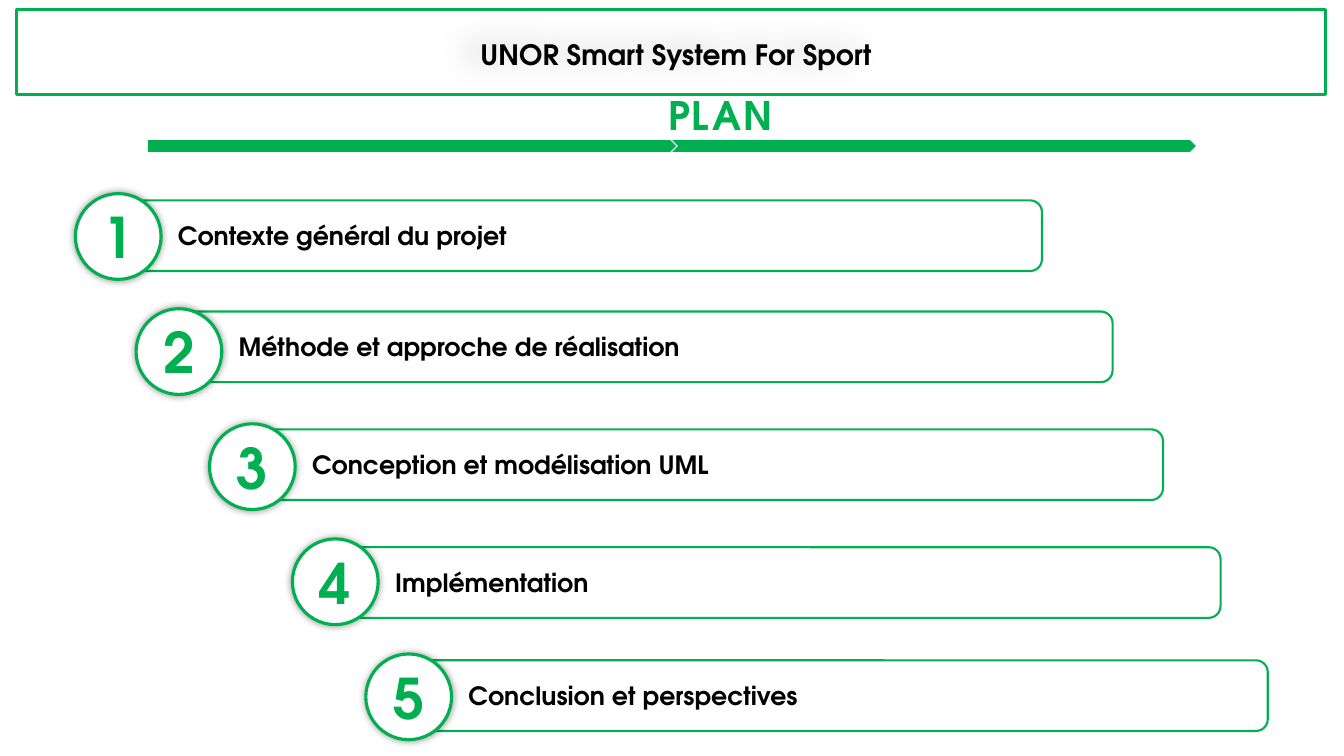
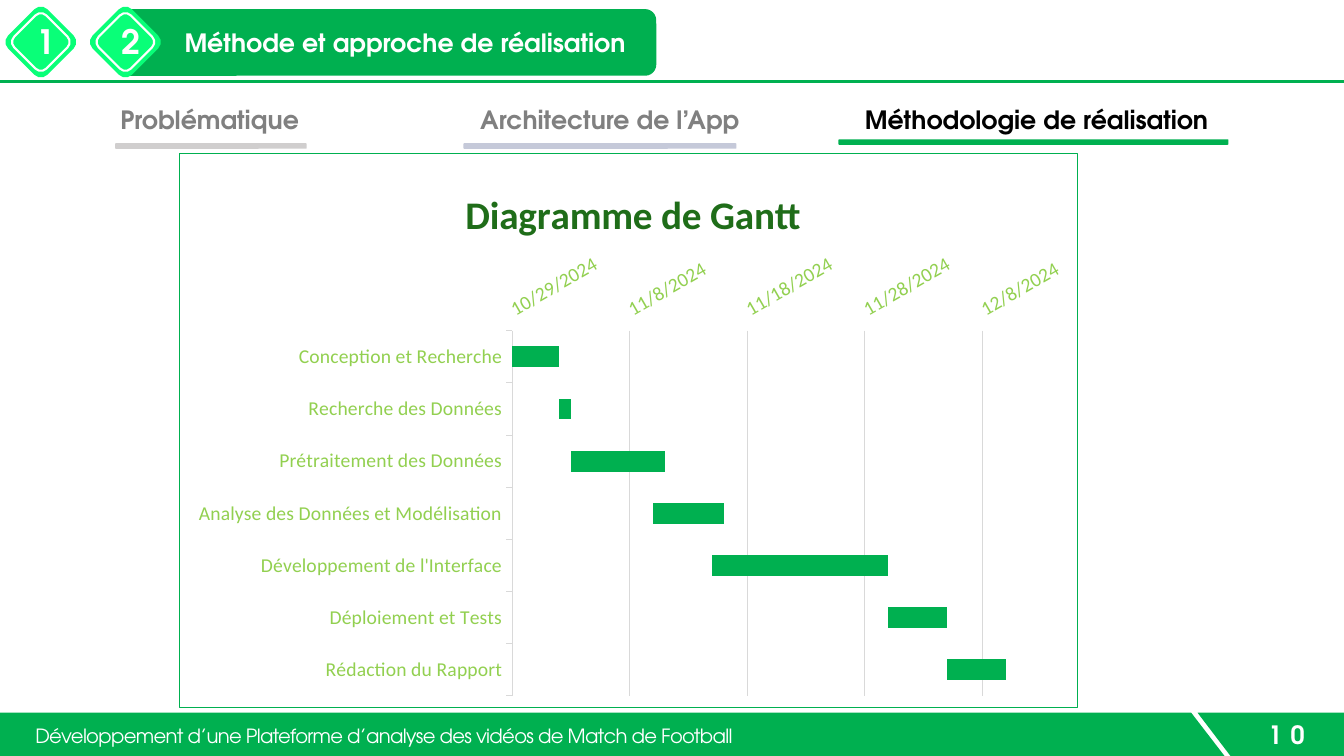
from pptx import Presentation
from pptx.chart.data import CategoryChartData
from pptx.dml.color import RGBColor
from pptx.enum.chart import XL_CHART_TYPE, XL_TICK_MARK
from pptx.enum.shapes import MSO_CONNECTOR, MSO_SHAPE
from pptx.enum.text import MSO_ANCHOR, MSO_AUTO_SIZE, PP_ALIGN
from pptx.oxml import parse_xml
from pptx.oxml.ns import nsdecls, qn
from pptx.oxml.xmlchemy import OxmlElement
from pptx.util import Cm, Pt

# Shared style
GREEN = RGBColor(0x00, 0xB0, 0x50)
BRIGHT_GREEN = RGBColor(0x09, 0xFF, 0x78)
DARK_GREEN = RGBColor(0x1F, 0x6D, 0x19)
LIGHT_GREEN = RGBColor(0x92, 0xD0, 0x50)
BLACK = RGBColor(0, 0, 0)
WHITE = RGBColor(0xFF, 0xFF, 0xFF)
GRAY = RGBColor(0x80, 0x80, 0x80)
TAB_GRAY = RGBColor(0xD0, 0xCE, 0xCE)
TAB_BLUE = RGBColor(0xC5, 0xC9, 0xD9)
GRID_GRAY = RGBColor(0xD9, 0xD9, 0xD9)
FONT = "TeX Gyre Adventor"
CHART_FONT = "Calibri"

RECTANGLE = MSO_SHAPE.RECTANGLE
ROUNDED = MSO_SHAPE.ROUNDED_RECTANGLE
OVAL = MSO_SHAPE.OVAL
PENTAGON = MSO_SHAPE.PENTAGON
CHEVRON = MSO_SHAPE.CHEVRON
STRAIGHT = MSO_CONNECTOR.STRAIGHT
LEFT, CENTER = PP_ALIGN.LEFT, PP_ALIGN.CENTER
TOP, MIDDLE = MSO_ANCHOR.TOP, MSO_ANCHOR.MIDDLE
NO_AUTOFIT = MSO_AUTO_SIZE.NONE
STACKED_BAR = XL_CHART_TYPE.BAR_STACKED
TICK_OUTSIDE = XL_TICK_MARK.OUTSIDE

TITLE_ONLY_LAYOUT = 5
SLIDE_WIDTH, SLIDE_HEIGHT = 33.87, 19.05

# Plan: text, circle left, bar top, bar right (cm)
PLAN_STEPS = [
    ("Contexte général du projet", 1.9, 5.05, 26.26),
    ("Méthode et approche de réalisation", 3.43, 7.85, 28.04),
    ("Conception et modélisation UML", 5.28, 10.82, 29.31),
    ("Implémentation", 7.37, 13.79, 30.76),
    ("Conclusion et perspectives", 9.22, 16.64, 31.95),
]
CIRCLE_SIZE, CIRCLE_TOP, CIRCLE_STEP = 2.16, 4.88, 2.9

# Tabs: text, text colour, text left and width, line left, top and width, line colour
TABS = [
    ("Problématique", GRAY, 2.72, 5.13, 2.9, 3.61, 4.83, TAB_GRAY),
    ("Architecture de l’App", GRAY, 9.53, 11.68, 11.68, 3.61, 6.88, TAB_BLUE),
    ("Méthodologie de réalisation", BLACK, 21.21, 9.83, 21.13, 3.51, 9.83, GREEN),
]

# Gantt: task, start (date serial number), days
TASKS = [
    ("Conception et Recherche", 45594, 4),
    ("Recherche des Données", 45598, 1),
    ("Prétraitement des Données", 45599, 8),
    ("Analyse des Données et Modélisation", 45606, 6),
    ("Développement de l'Interface", 45611, 15),
    ("Déploiement et Tests", 45626, 5),
    ("Rédaction du Rapport", 45631, 5),
]


def style_font(font, size, color, bold=True, name=FONT):
    font.name, font.size, font.bold = name, Pt(size), bold
    font.color.rgb = color


def write(shape, text, size, color, bold=True, align=CENTER, anchor=MIDDLE,
          spacing=0, inset=0.25):
    """Put one formatted run in a shape; spacing is in points, inset in cm."""
    frame = shape.text_frame
    frame.auto_size = NO_AUTOFIT
    frame.word_wrap = True
    frame.vertical_anchor = anchor
    frame.margin_left = Cm(inset)
    frame.margin_right = Cm(0.25)
    frame.margin_top = frame.margin_bottom = Cm(0.13)
    paragraph = frame.paragraphs[0]
    paragraph.alignment = align
    run = paragraph.add_run()
    run.text = text
    style_font(run.font, size, color, bold)
    if spacing:
        run.font._element.set("spc", str(round(spacing * 100)))
    return paragraph


def add_box(slide, kind, left, top, width, height, fill=None, line=None, weight=1.5):
    shape = slide.shapes.add_shape(kind, Cm(left), Cm(top), Cm(width), Cm(height))
    shape.shadow.inherit = False
    if fill is None:
        shape.fill.background()
    else:
        shape.fill.solid()
        shape.fill.fore_color.rgb = fill
    if line is None:
        shape.line.fill.background()
    else:
        shape.line.color.rgb = line
        shape.line.width = Pt(weight)
    return shape


def add_text(slide, left, top, width, height, text, size, color, **options):
    box = slide.shapes.add_textbox(Cm(left), Cm(top), Cm(width), Cm(height))
    return box, write(box, text, size, color, **options)


def set_title(slide, left, top, width, height, text, size, color, **options):
    """Fill the title placeholder and bring it in front of what is drawn so far."""
    title = slide.shapes.title
    title.left, title.top = Cm(left), Cm(top)
    title.width, title.height = Cm(width), Cm(height)
    write(title, text, size, color, **options)
    title._element.getparent().append(title._element)


def add_shadow(shape, blur, distance, direction, opacity):
    shape.shadow.inherit = False
    effects = shape._element.spPr.find(qn("a:effectLst"))
    effects.append(parse_xml(
        f'<a:outerShdw {nsdecls("a")} blurRad="{Cm(blur)}" dist="{Cm(distance)}" '
        f'dir="{direction * 60000}" algn="ctr" rotWithShape="0">'
        f'<a:srgbClr val="{BLACK}"><a:alpha val="{opacity * 1000}"/></a:srgbClr>'
        '</a:outerShdw>'))


def add_rule(slide, top):
    rule = slide.shapes.add_connector(STRAIGHT, 0, Cm(top), Cm(SLIDE_WIDTH), Cm(top))
    rule.line.color.rgb = GREEN
    rule.line.width = Pt(2.25)
    rule._element.spPr.append(OxmlElement("a:effectLst"))


def add_polygon(slide, points, fill):
    corners = [(Cm(x), Cm(y)) for x, y in points]
    builder = slide.shapes.build_freeform(*corners[0])
    builder.add_line_segments(corners[1:], close=True)
    shape = builder.convert_to_shape()
    shape.shadow.inherit = False
    shape.fill.solid()
    shape.fill.fore_color.rgb = fill
    shape.line.fill.background()


def add_plan_step(slide, index, text, left, bar_top, bar_right):
    bar_left = left + 1.2
    bar = add_box(slide, ROUNDED, bar_left, bar_top, bar_right - bar_left, 1.78, line=GREEN)
    write(bar, text, 18, BLACK, align=LEFT, inset=1.3)
    circle = add_box(slide, OVAL, left, CIRCLE_TOP + index * CIRCLE_STEP,
                     CIRCLE_SIZE, CIRCLE_SIZE, WHITE, GREEN, 2.25)
    add_shadow(circle, 0.18, 0, 0, 40)
    write(circle, str(index + 1), 40, GREEN)


def add_diamond(slide, left, number):
    for inset, line in ((0, None), (0.13, WHITE)):
        size = 1.4 - 2 * inset
        diamond = add_box(slide, ROUNDED, left + inset, 0.36 + inset, size, size,
                          BRIGHT_GREEN, line)
        diamond.rotation = 45
    add_text(slide, left - 0.02, 0.41, 1.7, 1.27, number, 24, WHITE, spacing=6)


def add_tab(slide, text, color, left, width, line_left, line_top, line_width, line_color):
    add_text(slide, left, 2.51, width, 1.02, text, 18, color, anchor=TOP)
    add_box(slide, ROUNDED, line_left, line_top, line_width, 0.14, line_color)


def add_footer(slide, text, page):
    top, bottom = 17.96, SLIDE_HEIGHT
    add_polygon(slide, [(0, top), (30.02, top), (30.86, bottom), (0, bottom)], GREEN)
    add_polygon(slide, [(30.18, top), (SLIDE_WIDTH, top), (SLIDE_WIDTH, bottom),
                        (31.01, bottom)], GREEN)
    add_text(slide, 31.47, 17.98, 1.9, 1.07, page, 18, WHITE, spacing=6)
    add_text(slide, 0.64, 18.11, 29.06, 0.86, text, 14, WHITE, bold=False,
             align=LEFT, anchor=TOP, spacing=-0.5)


def set_layout(element, position, **fractions):
    """Fix a chart part in fractions of the chart's size."""
    old = element.find(qn("c:layout"))
    if old is not None:
        element.remove(old)
    target = '<c:layoutTarget val="inner"/>' if "w" in fractions else ""
    modes = "".join(f'<c:{key}Mode val="edge"/>' for key in "xy")
    values = "".join(f'<c:{key} val="{value}"/>' for key, value in fractions.items())
    element.insert(position, parse_xml(
        f'<c:layout {nsdecls("c")}><c:manualLayout>{target}{modes}{values}'
        '</c:manualLayout></c:layout>'))


def add_gantt(slide, left, top, width, height):
    names, starts, days = zip(*TASKS)
    data = CategoryChartData()
    data.categories = names
    data.add_series("Series 1", starts)
    data.add_series("Series 2", days)
    chart = slide.shapes.add_chart(STACKED_BAR, Cm(left), Cm(top), Cm(width),
                                   Cm(height), data).chart
    style_font(chart.font, 14, BLACK, False, CHART_FONT)
    chart.has_legend = False

    # Title
    chart.has_title = True
    title_run = chart.chart_title.text_frame.paragraphs[0].add_run()
    title_run.text = "Diagramme de Gantt"
    style_font(title_run.font, 28, DARK_GREEN, name=CHART_FONT)
    set_layout(chart.chart_title._element, 1, x=0.31, y=0.05)

    # Bars: the start series only pushes the duration into place
    plot = chart.plots[0]
    plot.gap_width, plot.overlap = 150, 100
    plot.vary_by_categories = False
    start_series, day_series = plot.series
    start_series.format.fill.background()
    day_series.format.fill.solid()
    day_series.format.fill.fore_color.rgb = GREEN

    # Axes
    task_axis, date_axis = chart.category_axis, chart.value_axis
    for axis in (task_axis, date_axis):
        axis.major_tick_mark = TICK_OUTSIDE
        style_font(axis.tick_labels.font, 14, LIGHT_GREEN, False, CHART_FONT)
    task_axis.reverse_order = True
    date_axis.minimum_scale, date_axis.maximum_scale = 45594, 45636
    date_axis.major_unit = 10
    date_axis.has_major_gridlines = True
    date_axis.tick_labels.number_format = "m/d/yyyy"
    date_axis.tick_labels.number_format_is_linked = False
    for line in (task_axis.format.line, date_axis.major_gridlines.format.line):
        line.color.rgb = GRID_GRAY
        line.width = Pt(0.75)
    date_axis.format.line.fill.background()
    label_body = date_axis._element.find(qn("c:txPr")).find(qn("a:bodyPr"))
    label_body.set("rot", str(-30 * 60000))
    label_body.set("vert", "horz")

    # Plot area and border
    chart_element = chart._chartSpace.find(qn("c:chart"))
    set_layout(chart_element.find(qn("c:plotArea")), 0, x=0.37, y=0.32, w=0.55, h=0.66)
    chart_element.addnext(parse_xml(
        f'<c:spPr {nsdecls("c", "a")}><a:noFill/><a:ln w="{Pt(0.75)}"><a:solidFill>'
        f'<a:srgbClr val="{GREEN}"/></a:solidFill></a:ln></c:spPr>'))


def new_slide(presentation):
    return presentation.slides.add_slide(presentation.slide_layouts[TITLE_ONLY_LAYOUT])


def build_plan(presentation):
    slide = new_slide(presentation)
    # Banner
    banner, paragraph = add_text(slide, 8.15, 0.81, 17.78, 1.12,
                                 "UNOR Smart System For Sport", 20, BLACK, anchor=TOP)
    paragraph.space_before = Pt(6)
    add_shadow(banner, 0.75, 0.45, 195, 20)
    add_box(slide, RECTANGLE, 0.41, 0.23, 33, 2.16, line=GREEN, weight=2.25)
    # Title and arrow
    add_box(slide, PENTAGON, 3.73, 3.53, 13.31, 0.3, GREEN)
    add_box(slide, CHEVRON, 16.94, 3.53, 13.2, 0.3, GREEN)
    set_title(slide, 15.15, 2.18, 6, 1.45, "PLAN", 28, GREEN, anchor=TOP, spacing=1.5)
    # Steps
    for index, step in enumerate(PLAN_STEPS):
        add_plan_step(slide, index, *step)


def build_method(presentation):
    slide = new_slide(presentation)
    add_rule(slide, 2.06)
    add_footer(slide, "Développement d’une Plateforme d’analyse des vidéos de Match de Football",
               "10")
    # Header
    add_box(slide, ROUNDED, 2.95, 0.23, 13.59, 1.68, GREEN)
    set_title(slide, 4.4, 0.23, 12, 1.68, PLAN_STEPS[1][0], 18, WHITE, align=LEFT)
    add_diamond(slide, 2.46, "2")
    add_diamond(slide, 0.33, "1")
    # Tabs and chart
    for tab in TABS:
        add_tab(slide, *tab)
    add_gantt(slide, 4.52, 3.86, 22.66, 13.97)


def main():
    presentation = Presentation()
    presentation.slide_width = Cm(SLIDE_WIDTH)
    presentation.slide_height = Cm(SLIDE_HEIGHT)
    build_plan(presentation)
    build_method(presentation)
    presentation.save("out.pptx")


if __name__ == "__main__":
    main()
